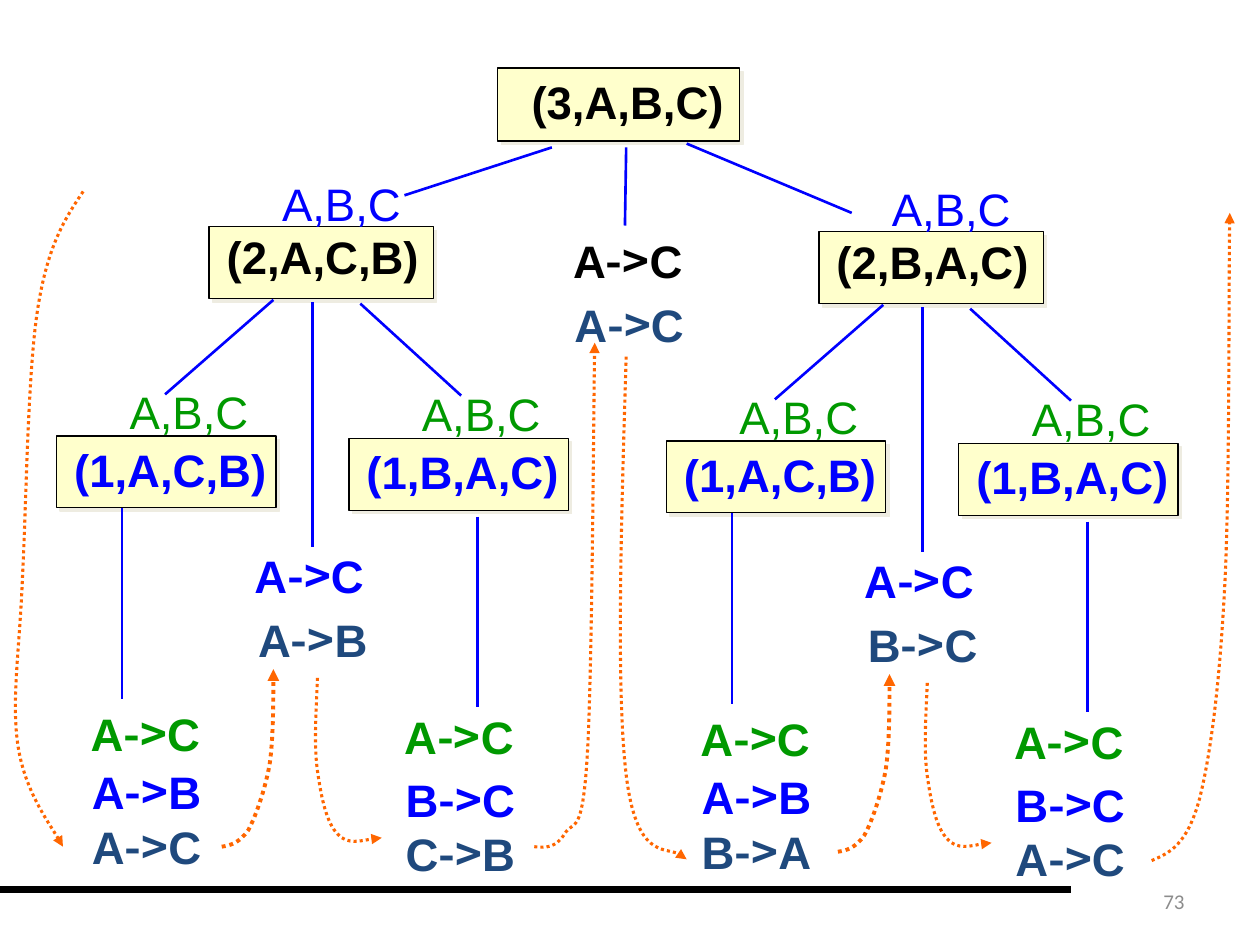
from dataclasses import dataclass

from lxml import etree
from pptx import Presentation
from pptx.dml.color import RGBColor
from pptx.enum.dml import MSO_LINE
from pptx.enum.shapes import MSO_CONNECTOR, MSO_SHAPE
from pptx.enum.text import MSO_ANCHOR, MSO_AUTO_SIZE, PP_ALIGN
from pptx.oxml.ns import qn
from pptx.util import Inches, Pt

RECT = MSO_SHAPE.RECTANGLE
STRAIGHT = MSO_CONNECTOR.STRAIGHT
DOTTED = MSO_LINE.ROUND_DOT
LEFT, RIGHT = PP_ALIGN.LEFT, PP_ALIGN.RIGHT
TOP, MIDDLE = MSO_ANCHOR.TOP, MSO_ANCHOR.MIDDLE
FIT = MSO_AUTO_SIZE.SHAPE_TO_FIT_TEXT


@dataclass(frozen=True)
class Theme:
    """Colours, fonts and sizes of the slide."""
    black: str = "000000"
    blue: str = "0000FF"
    green: str = "009900"
    navy: str = "1F497D"
    orange: str = "FF6600"
    gray: str = "8C8C8C"
    box: str = "FFFFCC"
    shadow: str = "EEECE1"
    font: str = "Arial"
    arrow_font: str = "Noto Sans CJK SC"
    number_font: str = "Calibri"
    size: int = 26
    leading: int = 31
    number_size: int = 12


T = Theme()


def rgb(value):
    """Return the colour for a hex string."""
    return RGBColor.from_string(value)


def add_text(slide, x, y, w, h, lines, bold=True, wrap=False, font=T.font,
             size=T.size, leading=T.leading, align=LEFT, anchor=TOP):
    """Add a text box from (text, colour) lines, with arrows in their own font."""
    tf = slide.shapes.add_textbox(Inches(x), Inches(y), Inches(w), Inches(h)).text_frame
    tf.word_wrap, tf.auto_size, tf.vertical_anchor = wrap, FIT, anchor
    for i, (text, color) in enumerate(lines):
        p = tf.add_paragraph() if i else tf.paragraphs[0]
        p.alignment, p.line_spacing = align, Pt(leading)
        start, arrow, end = text.partition("->")
        for part, face in ((start, font), (arrow, T.arrow_font), (end, font)):
            if part:
                r = p.add_run()
                r.text = part
                r.font.name, r.font.size, r.font.bold = face, Pt(size), bold
                r.font.color.rgb = rgb(color)


def add_line(slide, x, y, start, end, color=T.blue, width=1.5):
    """Add a straight line between two points relative to x, y."""
    line = slide.shapes.add_connector(
        STRAIGHT, Inches(x + start[0]), Inches(y + start[1]),
        Inches(x + end[0]), Inches(y + end[1]))
    line.line.color.rgb = rgb(color)
    line.line.width = Pt(width)
    etree.SubElement(line._element.spPr, qn("a:effectLst"))


def add_curve(slide, x, y, points, width=1.75):
    """Add a dotted Bezier arrow through points relative to x, y."""
    pts = [(Inches(x + px), Inches(y + py)) for px, py in points]
    builder = slide.shapes.build_freeform(*pts[0])
    builder.add_line_segments(pts[1:], close=False)
    sp = builder.convert_to_shape()
    path = next(sp._element.iter(qn("a:path")))
    segments = path.findall(qn("a:lnTo"))
    for i in range(0, len(segments), 3):
        cubic = etree.SubElement(path, qn("a:cubicBezTo"))
        for segment in segments[i:i + 3]:
            cubic.append(segment[0])
            path.remove(segment)
    sp.fill.background()
    sp.shadow.inherit = False
    sp.line.color.rgb = rgb(T.orange)
    sp.line.width = Pt(width)
    sp.line.dash_style = DOTTED
    etree.SubElement(sp.line._get_or_add_ln(), qn("a:tailEnd"), type="triangle")


def add_box(slide, x, y, w, h):
    """Add a call box with an offset shadow."""
    sp = slide.shapes.add_shape(RECT, Inches(x), Inches(y), Inches(w), Inches(h))
    sp.fill.solid()
    sp.fill.fore_color.rgb = rgb(T.box)
    sp.line.color.rgb = rgb(T.black)
    sp.line.width = Pt(0.75)
    sp.shadow.inherit = False
    effects = sp._element.spPr.find(qn("a:effectLst"))
    shadow = etree.SubElement(effects, qn("a:outerShdw"), blurRad="0",
                              dist=str(Pt(2.8)), dir="2700000", algn="ctr")
    etree.SubElement(shadow, qn("a:srgbClr"), val=T.shadow)


def add_call(slide, x, y, w, h, text, color, dx=0.04, dy=0):
    """Add a call box and its text."""
    add_box(slide, x, y, w, h)
    add_text(slide, x + dx, y + dy, 2.02, 0.53, [(text, color)], wrap=True)


def add_pegs(slide, x, y, color):
    """Add the peg names above a call box."""
    add_text(slide, x, y, 1.15, 0.53, [("A,B,C", color)], bold=False)


def add_moves(slide, x, y, *lines):
    """Add one or more disk moves."""
    add_text(slide, x, y, 1.08, 0.1 + 0.43 * len(lines), lines)


def add_leaf(slide, x, y, call, moves, stem, moves_x, moves_y):
    """Add a one-disk call with its stem and moves."""
    add_call(slide, x, y, 1.74, 0.57, call, T.blue)
    add_pegs(slide, x + 0.48, y - 0.46, T.green)
    add_line(slide, x, y, *stem)
    first, second, third = moves
    add_moves(slide, x + moves_x, y + 2.1, (first, T.green))
    add_moves(slide, x + moves_x + 0.01, y + moves_y, (second, T.blue), (third, T.navy))


def add_branch(slide, x, y, call, result, left_moves, right_moves, rise_x):
    """Add a two-disk call with both leaves and the arrows between them."""
    add_call(slide, x, y, 1.78, 0.57, call, T.black, dy=-0.03)
    add_pegs(slide, x + 0.48, y - 0.45, T.blue)
    for start, end in (((0.51, 0.58), (-0.35, 1.33)),
                       ((0.82, 0.6), (0.82, 2.54)),
                       ((1.2, 0.61), (2, 1.34))):
        add_line(slide, x, y, start, end)
    add_moves(slide, x + 0.26, y + 2.5, ("A->C", T.blue))
    add_moves(slide, x + 0.29, y + 3.01, (result, T.navy))
    add_leaf(slide, x - 1.21, y + 1.66, "(1,A,C,B)", left_moves,
             ((0.52, 0.57), (0.52, 2.09)), 0.17, 2.56)
    add_leaf(slide, x + 1.11, y + 1.68, "(1,B,A,C)", right_moves,
             ((1.02, 0.62), (1.02, 2.13)), 0.34, 2.6)
    add_curve(slide, x + rise_x, y, [
        (0, 4.92), (0.07, 4.91), (0.14, 4.89), (0.21, 4.79), (0.27, 4.68),
        (0.34, 4.48), (0.38, 4.27), (0.41, 4.06), (0.41, 3.64), (0.41, 3.51)], 2.25)
    add_curve(slide, x, y, [
        (0.86, 3.58), (0.85, 3.84), (0.83, 4.11), (0.86, 4.32), (0.89, 4.53),
        (0.93, 4.73), (1.02, 4.82), (1.1, 4.91), (1.31, 4.85), (1.37, 4.85)])


def add_root(slide, x, y):
    """Add the three-disk call with its middle move and branch lines."""
    add_call(slide, x, y, 1.92, 0.58, "(3,A,B,C)", T.black, dx=0.17)
    for start, end in (((1.02, 0.63), (1.01, 1.25)),
                       ((0.43, 0.63), (-0.74, 1.01)),
                       ((1.5, 0.6), (2.81, 1.15))):
        add_line(slide, x, y, start, end)
    add_moves(slide, x + 0.5, y + 1.26, ("A->C", T.black))
    add_moves(slide, x + 0.51, y + 1.77, ("A->C", T.navy))


def add_traversal(slide, x, y):
    """Add the arrows that enter, join and leave the two branches."""
    for points in (
        [(0.66, 1.52), (0.52, 1.73), (0.38, 1.94), (0.3, 2.45), (0.22, 2.95),
         (0.21, 3.98), (0.18, 4.55), (0.16, 5.13), (0.09, 5.53), (0.14, 5.9),
         (0.19, 6.26), (0.43, 6.59), (0.5, 6.72)],
        [(4.24, 6.72), (4.33, 6.73), (4.41, 6.73), (4.48, 6.62), (4.55, 6.5),
         (4.62, 6.66), (4.66, 6.01), (4.7, 5.36), (4.71, 3.27), (4.72, 2.72)],
        [(4.97, 2.83), (4.93, 4.15), (4.89, 5.48), (4.97, 6.15), (5.05, 6.81),
         (5.37, 6.71), (5.45, 6.82)],
        [(9.14, 6.83), (9.28, 6.77), (9.42, 6.71), (9.52, 6.34), (9.61, 5.98),
         (9.68, 5.43), (9.72, 4.65), (9.76, 3.88), (9.75, 2.18), (9.76, 1.69)],
    ):
        add_curve(slide, x, y, points)


def add_footer(slide, x, y):
    """Add the footer rule and the slide number."""
    add_line(slide, x, y, (0, 0), (8.5, 0), T.black, 4.5)
    add_text(slide, x + 7.17, y - 0.11, 2.33, 0.4, [("73", T.gray)], bold=False,
             wrap=True, font=T.number_font, size=T.number_size, leading=15,
             align=RIGHT, anchor=MIDDLE)


def main():
    """Build and save the slide."""
    prs = Presentation()
    prs.slide_width, prs.slide_height = Inches(10), Inches(7.5)
    slide = prs.slides.add_slide(prs.slide_layouts[6])
    add_footer(slide, 0, 7.06)
    add_root(slide, 3.95, 0.54)
    add_branch(slide, 1.66, 1.8, "(2,A,C,B)", "A->B", ("A->C", "A->B", "A->C"),
               ("A->C", "B->C", "C->B"), rise_x=0.1)
    add_branch(slide, 6.5, 1.84, "(2,B,A,C)", "B->C", ("A->C", "A->B", "B->A"),
               ("A->C", "B->C", "A->C"), rise_x=0.15)
    add_traversal(slide, 0, 0)
    prs.save("out.pptx")


if __name__ == "__main__":
    main()
